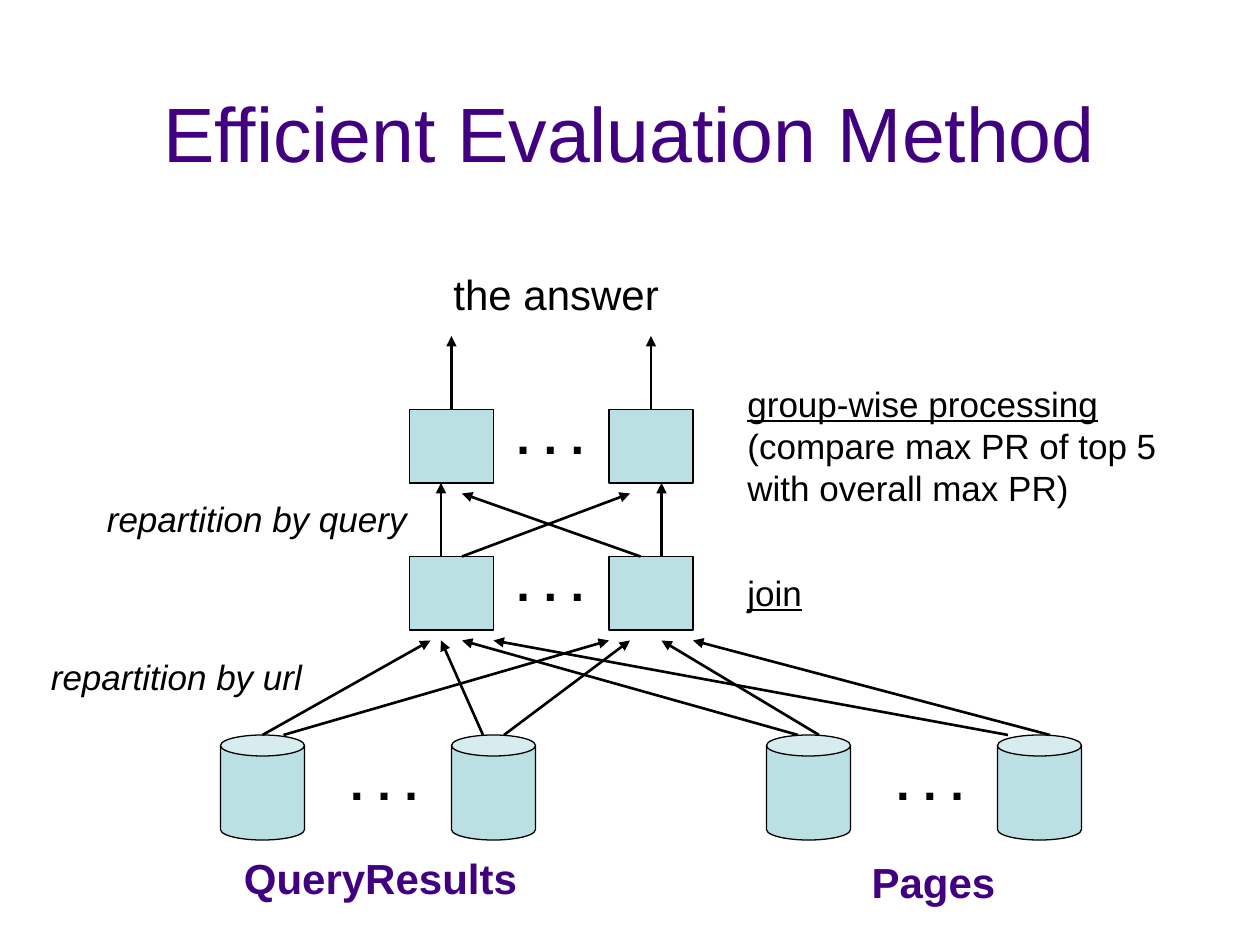
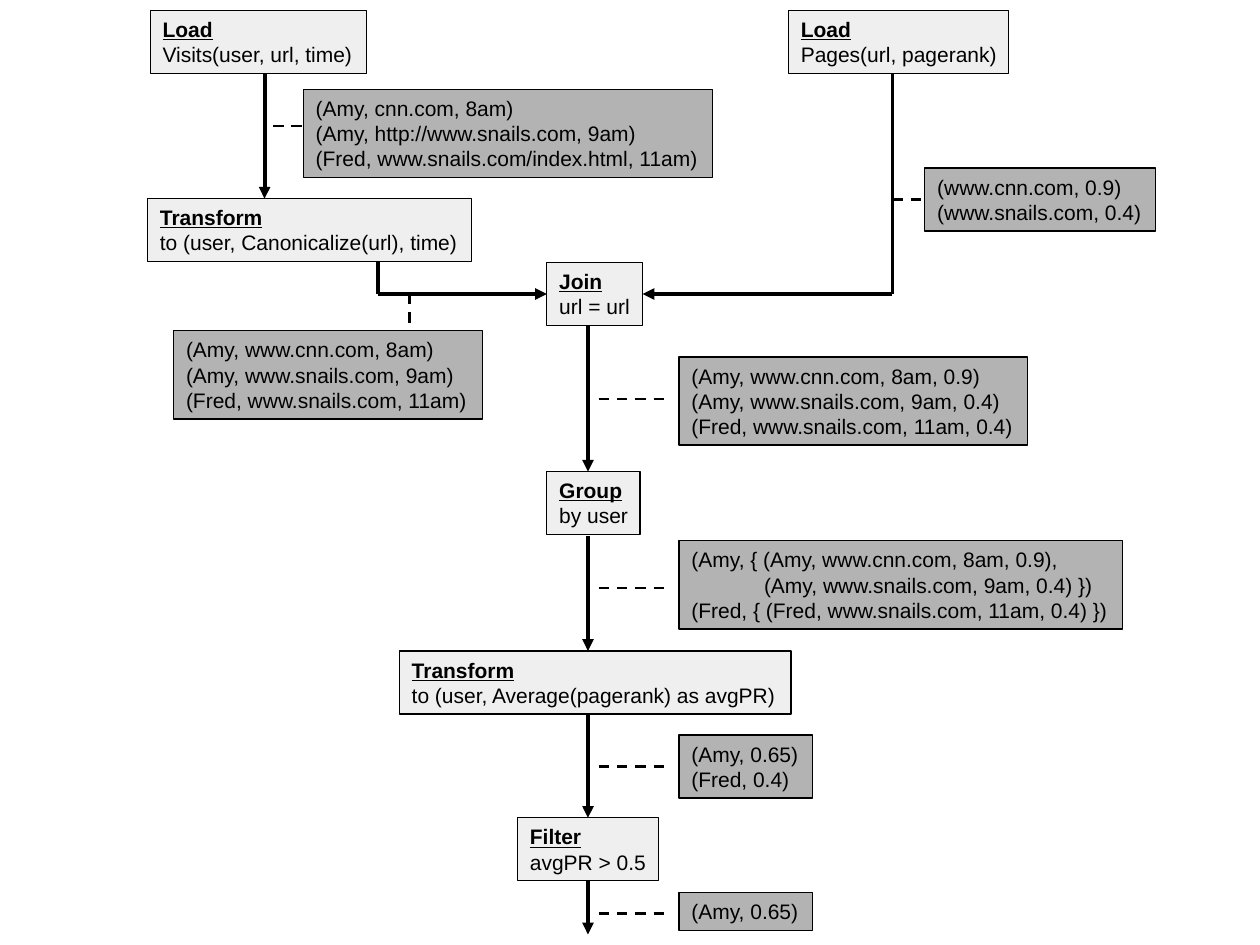
from dataclasses import dataclass
from itertools import product
from typing import Optional

from lxml.etree import SubElement
from pptx import Presentation
from pptx.dml.color import RGBColor
from pptx.enum.dml import MSO_LINE
from pptx.enum.shapes import MSO_CONNECTOR, MSO_SHAPE
from pptx.enum.text import MSO_ANCHOR, PP_ALIGN
from pptx.oxml.ns import qn
from pptx.shapes.autoshape import Shape
from pptx.slide import Slide
from pptx.util import Pt

FONT = "Arial"
BLACK = "000000"
PURPLE = "400080"
TEAL = "BBE0E3"
STEP_GRAY = "EFEFEF"
DATA_GRAY = "B3B3B3"
TOP, LEFT, BOTTOM, RIGHT = range(4)


@dataclass(frozen=True)
class Span:
    """A piece of text with its own format."""
    text: str
    underline: bool = False
    bold: bool = False
    italic: bool = False
    size: float = 12
    color: str = BLACK


@dataclass(frozen=True)
class Line:
    """One paragraph: spans and a left indent."""
    spans: tuple[Span, ...]
    indent: float = 0


@dataclass(frozen=True)
class Label:
    """A free text box at left, top, width, height."""
    place: tuple[float, float, float, float]
    spans: tuple[Span, ...]
    wrap: bool = False


@dataclass(frozen=True)
class Card:
    """A bordered box whose height follows its lines."""
    left: float
    top: float
    width: float
    lines: tuple[Line, ...]
    fill: str


@dataclass(frozen=True)
class Link:
    """A straight line, optionally joined to the sides of boxes."""
    start: tuple[float, float]
    end: tuple[float, float]
    begin_at: Optional[tuple[str, int]] = None
    end_at: Optional[tuple[str, int]] = None
    weight: float = 1.5
    arrow: bool = True
    dashed: bool = False


def rgb(color: str) -> RGBColor:
    """Turn a hex string into a colour."""
    return RGBColor.from_string(color)


def write_text(para, text: str, *, size: float = 12, color: str = BLACK, bold: bool = False,
               italic: bool = False, underline: bool = False) -> None:
    """Append formatted text to a paragraph."""
    span = para.add_run()
    span.text = text
    font = span.font
    font.name, font.size, font.color.rgb = FONT, Pt(size), rgb(color)
    font.bold, font.italic, font.underline = bold, italic, underline


def write_lines(box: Shape, lines: tuple[Line, ...], wrap: bool = False,
                align: PP_ALIGN = PP_ALIGN.LEFT) -> None:
    """Fill a box with paragraphs."""
    frame = box.text_frame
    frame.word_wrap = wrap
    for index, line in enumerate(lines):
        para = frame.add_paragraph() if index else frame.paragraphs[0]
        para.alignment = align
        if line.indent:
            para._p.get_or_add_pPr().set("marL", str(Pt(line.indent)))
        for span in line.spans:
            write_text(para, span.text, size=span.size, color=span.color, bold=span.bold,
                       italic=span.italic, underline=span.underline)


def add_label(page: Slide, label: Label, align: PP_ALIGN = PP_ALIGN.LEFT) -> Shape:
    """Draw a free text box."""
    box = page.shapes.add_textbox(*map(Pt, label.place))
    write_lines(box, (Line(label.spans),), label.wrap, align)
    return box


def add_title(page: Slide, text: str) -> None:
    """Draw the slide title."""
    span = Span(text, size=44, color=PURPLE)
    box = add_label(page, Label((54, 30, 612, 90), (span,), wrap=True), PP_ALIGN.CENTER)
    box.text_frame.vertical_anchor = MSO_ANCHOR.MIDDLE


def add_block(page: Slide, kind: MSO_SHAPE, place: tuple[float, float, float, float],
              fill: str) -> Shape:
    """Draw a filled shape with a thin black border."""
    box = page.shapes.add_shape(kind, *map(Pt, place))
    box.shadow.inherit = False
    box.fill.solid()
    box.fill.fore_color.rgb = rgb(fill)
    box.line.color.rgb = rgb(BLACK)
    box.line.width = Pt(0.75)
    return box


def add_card(page: Slide, card: Card) -> Shape:
    """Draw a bordered box with its lines."""
    height = 7.2 + 14.4 * len(card.lines)
    box = add_block(page, MSO_SHAPE.RECTANGLE, (card.left, card.top, card.width, height), card.fill)
    box.text_frame.vertical_anchor = MSO_ANCHOR.TOP
    write_lines(box, card.lines)
    return box


def add_link(page: Slide, link: Link, boxes: dict[str, Shape]) -> None:
    """Draw a connector and join it where asked."""
    connector = page.shapes.add_connector(MSO_CONNECTOR.STRAIGHT, *map(Pt, link.start + link.end))
    if link.begin_at:
        name, side = link.begin_at
        connector.begin_connect(boxes[name], side)
    if link.end_at:
        name, side = link.end_at
        connector.end_connect(boxes[name], side)
    connector.line.color.rgb = rgb(BLACK)
    connector.line.width = Pt(link.weight)
    if link.dashed:
        connector.line.dash_style = MSO_LINE.DASH
    if link.arrow:
        SubElement(connector.line._get_or_add_ln(), qn("a:tailEnd"), type="triangle")
    SubElement(connector._element.spPr, qn("a:effectLst"))


def step(left: float, top: float, width: float, heading: str, detail: str) -> Card:
    """Describe an operation with its underlined heading."""
    lines = (Line((Span(heading, underline=True, bold=True),)), Line((Span(detail),)))
    return Card(left, top, width, lines, STEP_GRAY)


def data(left: float, top: float, width: float, *rows: str, indents: tuple[float, ...] = ()) -> Card:
    """Describe a box of sample tuples."""
    indents = indents or (0,) * len(rows)
    lines = tuple(Line((Span(row),), indent) for row, indent in zip(rows, indents))
    return Card(left, top, width, lines, DATA_GRAY)


def flow(start: tuple[float, float], end: tuple[float, float], **options) -> Link:
    """Describe a heavy data-flow line."""
    return Link(start, end, weight=2.25, **options)


def dash(start: tuple[float, float], end: tuple[float, float], **options) -> Link:
    """Describe a dashed line to a sample box."""
    return Link(start, end, arrow=False, dashed=True, **options)


def build_method_page(page: Slide) -> None:
    """Draw the partitioned evaluation diagram."""
    add_title(page, "Efficient Evaluation Method")
    for left in (126, 258, 438, 570):
        can = add_block(page, MSO_SHAPE.CAN, (left, 420, 48, 60), TEAL)
        can.adjustments[0] = 0.25

    columns = {"left": 234, "right": 348}
    rows = {"group": 234, "join": 318}
    boxes = {
        f"{row} {column}": add_block(page, MSO_SHAPE.RECTANGLE, (left, top, 48, 42), TEAL)
        for (row, top), (column, left) in product(rows.items(), columns.items())
    }

    for left, top in ((193, 426), (505, 426), (288, 312), (288, 228)):
        add_label(page, Label((left, top, 53, 41), (Span(". . .", bold=True, size=28),)))
    group_spans = (Span("group-wise processing", underline=True, size=20),
                   Span(" (compare max PR of top 5 with overall max PR)", size=20))
    table_name = Span("QueryResults", bold=True, size=24, color=PURPLE)
    labels = (
        Label((132.3, 483.5, 190, 36), (table_name,), wrap=True),
        Label((491, 486, 85, 36), (Span("Pages", bold=True, size=24, color=PURPLE),)),
        Label((22, 371, 158, 31.5), (Span("repartition by url", italic=True, size=20),)),
        Label((54, 281, 186, 31.5), (Span("repartition by query", italic=True, size=20),)),
        Label((420, 214.8, 252, 79), group_spans, wrap=True),
        Label((420, 322.8, 60, 31.5), (Span("join", underline=True, size=20),), wrap=True),
        Label((252, 150, 132, 36), (Span("the answer", size=24),)),
    )
    for label in labels:
        add_label(page, label)

    url_routes = ((150, 246), (288, 360), (162, 348), (276, 252),
                  (456, 264), (576, 282), (600, 396), (468, 378))
    query_routes = ((252, 252, 276), (378, 378, 276), (366, 264, 282), (264, 360, 282))
    links = [Link((start, 420), (end, 366)) for start, end in url_routes]
    links += [Link((start, 318), (end, top)) for start, end, top in query_routes]
    links += [Link((left + 24, 234), (left + 24, 192), begin_at=(f"group {column}", TOP))
              for column, left in columns.items()]
    for link in links:
        add_link(page, link, boxes)


def build_dataflow_page(page: Slide) -> None:
    """Draw the dataflow with sample tuples beside each step."""
    spine, data_left = 336, 388
    cards = {
        "load visits": step(85.8, 6, 123.8, "Load", "Visits(user, url, time)"),
        "load pages": step(450.5, 6, 126, "Load", "Pages(url, pagerank)"),
        "canonicalize": step(84.3, 113.3, 185, "Transform", "to (user, Canonicalize(url), time)"),
        "join": step(312.5, 150, 54.7, "Join", "url = url"),
        "group": step(312.5, 269.3, 53.3, "Group", "by user"),
        "average": step(228.2, 372, 223.9, "Transform", "to (user, Average(pagerank) as avgPR)"),
        "filter": step(295.7, 467.3, 80.6, "Filter", "avgPR > 0.5"),
        "visits": data(173.3, 51, 234, "(Amy, cnn.com, 8am)", "(Amy, http://www.snails.com, 9am)",
                       "(Fred, www.snails.com/index.html, 11am)"),
        "pages": data(528.5, 96, 131.8, "(www.cnn.com, 0.9)", "(www.snails.com, 0.4)"),
        "canonical": data(99.2, 189, 176.4, "(Amy, www.cnn.com, 8am)",
                          "(Amy, www.snails.com, 9am)", "(Fred, www.snails.com, 11am)"),
        "joined": data(data_left, 204, 199.4, "(Amy, www.cnn.com, 8am, 0.9)",
                       "(Amy, www.snails.com, 9am, 0.4)", "(Fred, www.snails.com, 11am, 0.4)"),
        "grouped": data(data_left, 309, 253.4, "(Amy, { (Amy, www.cnn.com, 8am, 0.9),",
                        "(Amy, www.snails.com, 9am, 0.4) })",
                        "(Fred, { (Fred, www.snails.com, 11am, 0.4) })", indents=(0, 41.5, 0)),
        "averaged": data(data_left, 420, 76.3, "(Amy, 0.65)", "(Fred, 0.4)"),
        "filtered": data(data_left, 510, 76.3, "(Amy, 0.65)"),
    }
    boxes = {name: add_card(page, card) for name, card in cards.items()}

    links = [
        flow((151.2, 42), (151.2, 113.5)),
        flow((spine, 186), (spine, 269.5)),
        flow((spine, 306), (spine, 372)),
        flow((spine, 408), (spine, 467.3), end_at=("filter", TOP)),
        flow((spine, 503.3), (spine, 534), begin_at=("filter", BOTTOM)),
        flow((510, 168), (510, 42), arrow=False),
        flow((510, 168), (367.2, 168), end_at=("join", RIGHT)),
        flow((216, 168), (216, 150), arrow=False),
        flow((216, 168), (312.5, 168), end_at=("join", LEFT)),
        dash((156, 72), (174, 72)),
        dash((510, 114), (528.5, 114), end_at=("pages", LEFT)),
        dash((234, 168), (234, 186)),
    ]
    links += [dash((342, top), (384, top)) for top in (228, 336, 438, 522)]
    for link in links:
        add_link(page, link, boxes)


def main() -> None:
    """Build and save the deck."""
    deck = Presentation()
    deck.slide_width, deck.slide_height = Pt(720), Pt(540)
    for build_page in (build_method_page, build_dataflow_page):
        build_page(deck.slides.add_slide(deck.slide_layouts[6]))
    deck.save("out.pptx")


if __name__ == "__main__":
    main()
